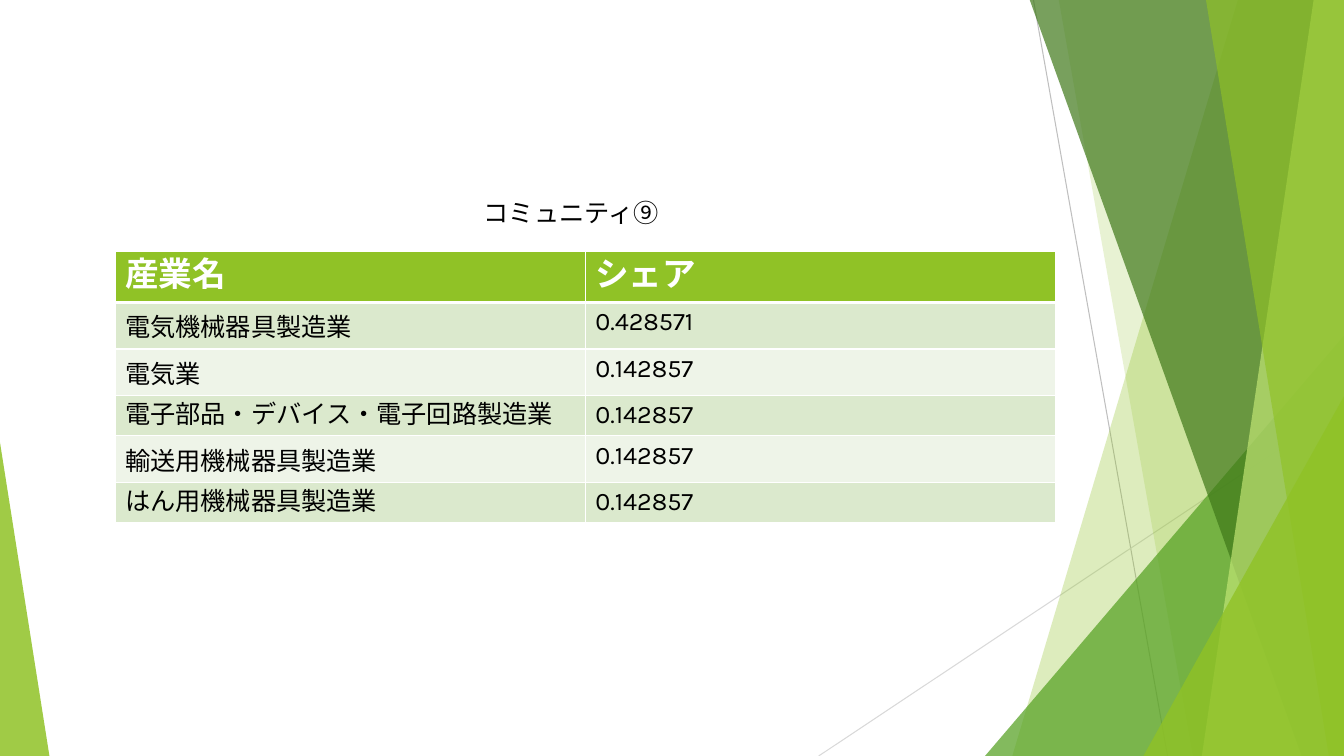
from lxml.etree import SubElement
from pptx import Presentation
from pptx.dml.color import RGBColor
from pptx.enum.lang import MSO_LANGUAGE_ID as Language
from pptx.enum.shapes import MSO_CONNECTOR as Connector, MSO_SHAPE as Shape
from pptx.oxml import parse_xml
from pptx.oxml.ns import nsdecls, qn
from pptx.util import Inches, Pt

WIDTH, HEIGHT = 13.33, 7.5
BLACK = RGBColor(0x00, 0x00, 0x00)
WHITE = RGBColor(0xFF, 0xFF, 0xFF)
LIME = RGBColor(0x90, 0xC2, 0x26)
GREEN = RGBColor(0x54, 0xA0, 0x21)
FOREST = RGBColor(0x3F, 0x78, 0x19)
PALE_LIME = RGBColor(0xC0, 0xE4, 0x74)
BAND_DARK = RGBColor(0xDB, 0xE9, 0xCD)
BAND_LIGHT = RGBColor(0xEE, 0xF4, 0xE8)
GRAY = RGBColor(0xBF, 0xBF, 0xBF)
LIGHT_GRAY = RGBColor(0xD9, 0xD9, 0xD9)
LATIN, JAPANESE = "Karla", "Noto Sans CJK JP"

HEADINGS = ("産業名", "シェア")
INDUSTRIES = (
    ("電気機械器具製造業", "0.428571", JAPANESE),
    ("電気業", "0.142857", JAPANESE),
    ("電子部品・デバイス・電子回路製造業", "0.142857", LATIN),
    ("輸送用機械器具製造業", "0.142857", JAPANESE),
    ("はん用機械器具製造業", "0.142857", LATIN),
)


def write(frame, text, size=18, font=LATIN, color=BLACK, bold=False):
    run = frame.paragraphs[0].add_run()
    run.text = text
    style = run.font
    style.size, style.bold, style.name = Pt(size), bold, font
    style.color.rgb = color
    style.language_id = Language.JAPANESE
    SubElement(run._r.rPr, qn("a:ea"), typeface=font)


class FacetSlide:
    def __init__(self, deck):
        self.shapes = deck.slides.add_slide(deck.slide_layouts[6]).shapes

    def hairline(self, start, end, color):
        line = self.shapes.add_connector(
            Connector.STRAIGHT, *(Inches(v) for v in (*start, *end)))
        line.line.color.rgb = color
        line.line.width = Pt(0.75)
        SubElement(line._element.spPr, qn("a:effectLst"))

    def tint(self, facet, color, opacity):
        facet.shadow.inherit = False
        facet.line.fill.background()
        facet.fill.solid()
        facet.fill.fore_color.rgb = color
        srgb = facet._element.spPr.find(qn("a:solidFill"))[0]
        SubElement(srgb, qn("a:alpha"), val=str(opacity * 1000))

    def pane(self, top_x, bottom_x, color, opacity, top=-0.01):
        corners = [(Inches(x), Inches(y)) for x, y in (
            (top_x, top), (WIDTH, top), (WIDTH, HEIGHT), (bottom_x, HEIGHT))]
        builder = self.shapes.build_freeform(*corners[0])
        builder.add_line_segments(corners[1:], close=True)
        self.tint(builder.convert_to_shape(), color, opacity)

    def triangle(self, left, top, width, apex, color, opacity):
        facet = self.shapes.add_shape(
            Shape.ISOSCELES_TRIANGLE, Inches(left), Inches(top),
            Inches(width), Inches(HEIGHT - top))
        facet.adjustments[0] = apex
        self.tint(facet, color, opacity)

    def caption(self, text, left, top, width, height):
        box = self.shapes.add_textbox(
            Inches(left), Inches(top), Inches(width), Inches(height))
        box.text_frame.word_wrap = True
        write(box.text_frame, text)

    def cell(self, cell, text, fill, top=1, bottom=1, **style):
        write(cell.text_frame, text, **style)
        cell.fill.solid()
        cell.fill.fore_color.rgb = fill
        borders = (("lnL", 1), ("lnR", 1), ("lnT", top), ("lnB", bottom))
        for index, (side, points) in enumerate(borders):
            cell._tc.tcPr.insert(index, parse_xml(
                f'<a:{side} {nsdecls("a")} w="{Pt(points)}"><a:solidFill>'
                f'<a:srgbClr val="{WHITE}"/></a:solidFill></a:{side}>'))

    def share_table(self, left, top, width, header_height, row_height):
        table = self.shapes.add_table(
            len(INDUSTRIES) + 1, len(HEADINGS), Inches(left), Inches(top), Inches(width),
            Inches(header_height + row_height * len(INDUSTRIES))).table
        table.horz_banding = False
        for row in table.rows:
            row.height = Inches(row_height)
        table.rows[0].height = Inches(header_height)
        for column, heading in enumerate(HEADINGS):
            self.cell(table.cell(0, column), heading, LIME, bottom=3,
                      size=24, color=WHITE, bold=True)
        for row, (industry, share, font) in enumerate(INDUSTRIES, 1):
            band = BAND_DARK if row % 2 else BAND_LIGHT
            top_border = 3 if row == 1 else 1
            self.cell(table.cell(row, 0), industry, band, top=top_border, font=font)
            self.cell(table.cell(row, 1), share, band, top=top_border)


def main():
    deck = Presentation()
    deck.slide_width, deck.slide_height = Inches(WIDTH), Inches(HEIGHT)
    slide = FacetSlide(deck)
    slide.hairline((10.25, 0), (11.58, HEIGHT), GRAY)
    slide.hairline((WIDTH, 4.03), (8.12, HEIGHT), LIGHT_GRAY)
    slide.pane(12.28, 10.04, LIME, 30)
    slide.pane(10.5, 11.83, LIME, 20)
    slide.triangle(9.77, 3.33, 3.56, 1, GREEN, 72)
    slide.pane(10.21, 12.91, FOREST, 70)
    slide.pane(13.03, 11.92, PALE_LIME, 70)
    slide.pane(11.96, 13.18, LIME, 65)
    slide.triangle(11.34, 3.93, 1.99, 1, LIME, 80)
    slide.triangle(0, 4.39, 0.49, 0, LIME, 85)
    slide.share_table(1.14, 2.49, 9.33, 0.51, 0.4)
    slide.caption("コミュニティ⑨", 4.7, 1.91, 2.66, 0.4)
    deck.save("out.pptx")


if __name__ == "__main__":
    main()
